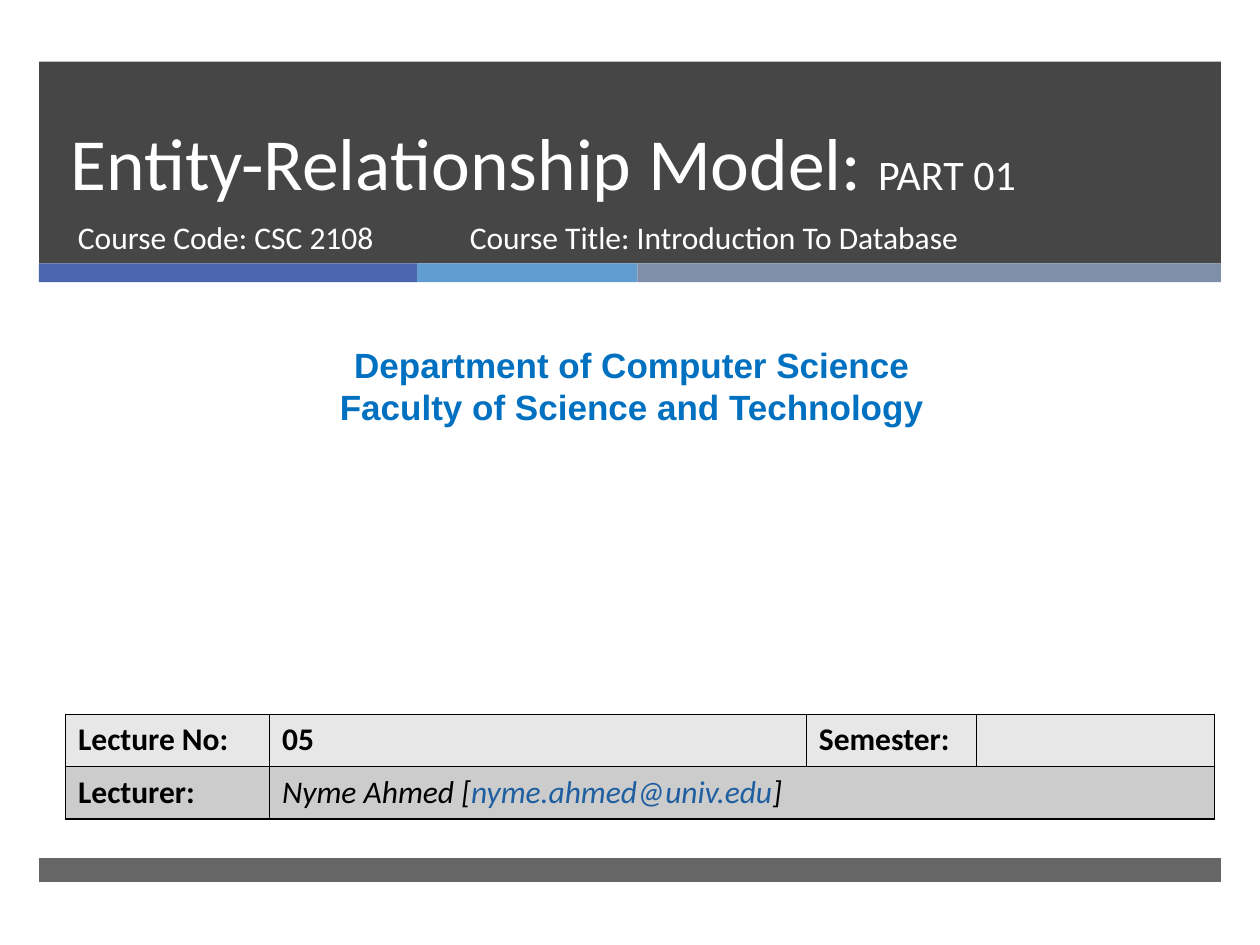
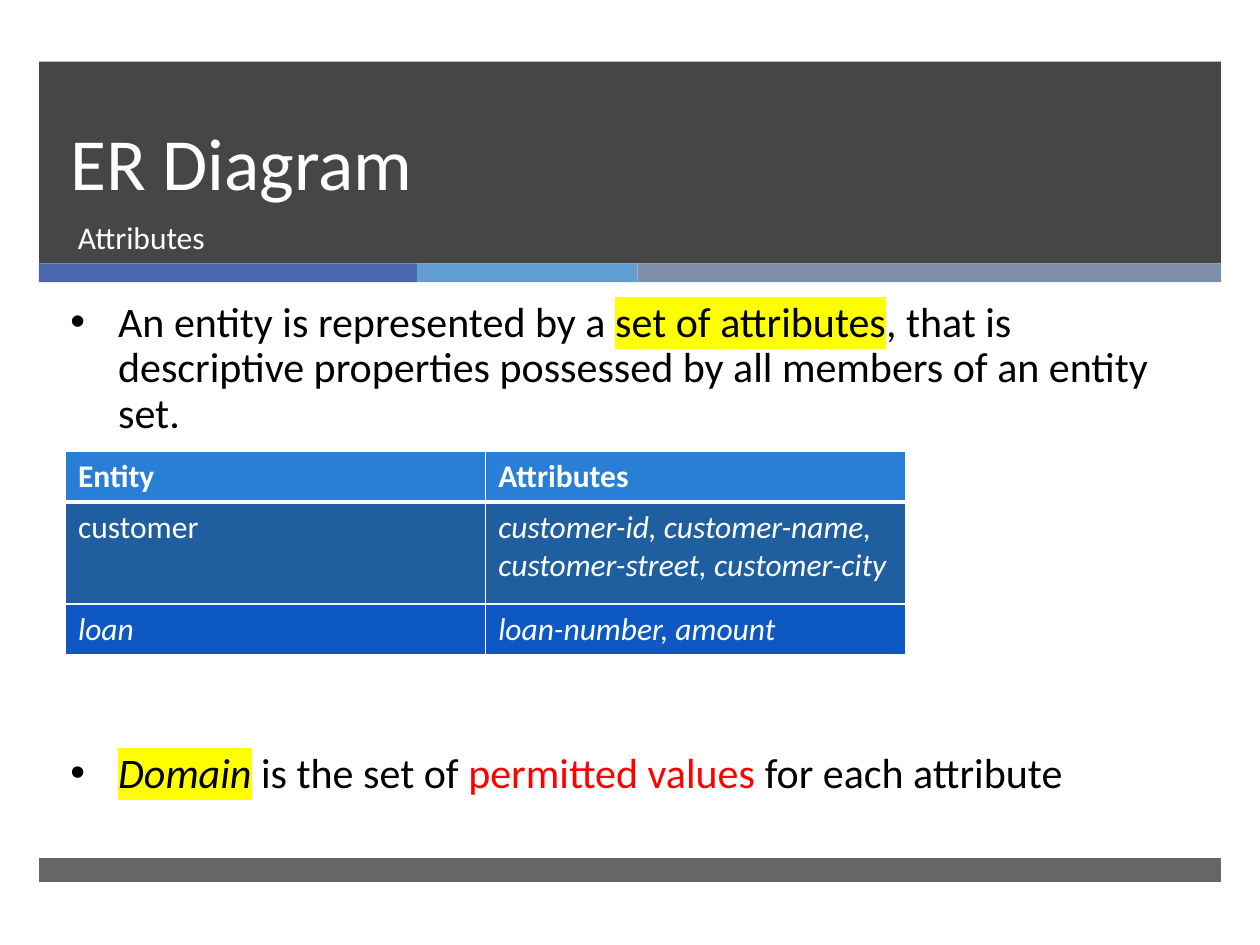
from lxml.etree import SubElement
from pptx import Presentation
from pptx.dml.color import RGBColor
from pptx.enum.shapes import MSO_SHAPE
from pptx.enum.text import MSO_ANCHOR, PP_ALIGN
from pptx.oxml import parse_xml
from pptx.oxml.ns import nsdecls, qn
from pptx.util import Inches, Pt

WHITE = RGBColor(0xFF, 0xFF, 0xFF)
BLACK = RGBColor(0x00, 0x00, 0x00)
DARK = RGBColor(0x26, 0x26, 0x26)
INDIGO = RGBColor(0x4A, 0x66, 0xAC)
SKY = RGBColor(0x62, 0x9D, 0xD1)
SLATE = RGBColor(0x7F, 0x8F, 0xA9)
AZURE = RGBColor(0x00, 0x70, 0xC0)
NAVY = RGBColor(0x1F, 0x5F, 0xA0)
BLUE = RGBColor(0x29, 0x7F, 0xD5)
ROYAL = RGBColor(0x0E, 0x58, 0xC4)
PALE = RGBColor(0xE7, 0xE7, 0xE7)
GREY = RGBColor(0xCC, 0xCC, 0xCC)
RED = RGBColor(0xFF, 0x00, 0x00)
YELLOW = RGBColor(0xFF, 0xFF, 0x00)

# The slide is a grid of 100 columns and 75 rows of square cells.
COLS, ROWS = 100, 75
LEFT, WIDE = 3.1, 93.8
STRIPES = ((INDIGO, 30), (SKY, 17.5), (SLATE, 46.3))


def write(frame, paras, size=18, font="Calibri", color=BLACK, bold=False,
          italic=False, mark=None, align=None, line=None, gaps=(), bullet=None):
    """Fill a frame; a paragraph is a list of runs, a run is text or (text, format)."""
    base = dict(size=size, color=color, bold=bold, italic=italic, mark=mark)
    for i, runs in enumerate(paras):
        para = frame.paragraphs[0] if i == 0 else frame.add_paragraph()
        para.alignment = align
        para.line_spacing = line
        if i < len(gaps):
            para.space_before = Pt(gaps[i])
        if bullet:
            props = para._p.get_or_add_pPr()
            props.set("marL", str(Inches(0.38)))
            props.set("indent", str(-Inches(0.38)))
            SubElement(props, qn("a:buFont"), typeface="Arial")
            SubElement(props, qn("a:buChar"), char=bullet)
        for item in runs:
            text, extra = (item, {}) if isinstance(item, str) else item
            form = {**base, **extra}
            run = para.add_run()
            run.text = text
            run.font.name = font
            run.font.size = Pt(form["size"])
            run.font.bold = form["bold"]
            run.font.italic = form["italic"]
            run.font.color.rgb = form["color"]
            if form["mark"]:
                fill = run._r.rPr.find(qn("a:solidFill"))
                fill.addnext(parse_xml(
                    f'<a:highlight {nsdecls("a")}>'
                    f'<a:srgbClr val="{form["mark"]}"/></a:highlight>'))


def edge(cell, color, widths):
    """Draw the left, right, top and bottom borders, with widths in points."""
    props = cell._tc.get_or_add_tcPr()
    for i, (side, width) in enumerate(zip("LRTB", widths)):
        props.insert(i, parse_xml(
            f'<a:ln{side} {nsdecls("a")} w="{Pt(width)}"><a:solidFill>'
            f'<a:srgbClr val="{color}"/></a:solidFill></a:ln{side}>'))


class Deck:
    def __init__(self):
        self.show = Presentation()
        self.show.slide_width = Inches(10)
        self.show.slide_height = Inches(7.5)
        self.slide = None

    def x(self, cols):
        return round(self.show.slide_width * cols / COLS)

    def y(self, rows):
        return round(self.show.slide_height * rows / ROWS)

    def place(self, left, top, wide, high):
        return self.x(left), self.y(top), self.x(wide), self.y(high)

    def band(self, left, top, wide, high, color, alpha=100):
        shape = self.slide.shapes.add_shape(
            MSO_SHAPE.RECTANGLE, *self.place(left, top, wide, high))
        shape.shadow.inherit = False
        shape.line.fill.background()
        shape.fill.solid()
        shape.fill.fore_color.rgb = color
        if alpha < 100:
            tint = shape.fill._xPr.find(qn("a:solidFill"))[0]
            SubElement(tint, qn("a:alpha"), val=str(alpha * 1000))

    def text(self, left, top, wide, high, paras, anchor=MSO_ANCHOR.TOP, **form):
        box = self.slide.shapes.add_textbox(*self.place(left, top, wide, high))
        box.text_frame.word_wrap = True
        box.text_frame.vertical_anchor = anchor
        write(box.text_frame, paras, **form)

    def table(self, left, top, cols, rows, cells, fills, rim, head=1, **form):
        """Add a table; head is the width of the rule below the first row."""
        grid = self.slide.shapes.add_table(
            len(rows), len(cols),
            *self.place(left, top, sum(cols), sum(rows))).table
        grid.first_row = grid.horz_banding = False
        for col, wide in zip(grid.columns, cols):
            col.width = self.x(wide)
        for r, high in enumerate(rows):
            grid.rows[r].height = self.y(high)
            for c in range(len(cols)):
                cell = grid.cell(r, c)
                cell.fill.solid()
                cell.fill.fore_color.rgb = fills[r]
                edge(cell, rim, (1, 1, head if r == 1 else 1, head if r == 0 else 1))
                if c < len(cells[r]) and cells[r][c]:
                    write(cell.text_frame, [cells[r][c]], **form)
        return grid

    def start(self, title):
        """Begin a slide with its bands and title."""
        self.slide = self.show.slides.add_slide(self.show.slide_layouts[6])
        self.band(LEFT, 4.9, WIDE, 16, DARK, 85)
        left = LEFT
        for color, wide in STRIPES:
            self.band(left, 20.9, wide, 1.5, color)
            left += wide
        self.band(LEFT, 68.1, WIDE, 1.9, DARK, 70)
        self.text(4.6, 4.9, 85.4, 11.9, [title], MSO_ANCHOR.BOTTOM,
                  size=42, color=WHITE, line=Pt(46))

    def label(self, left, wide, text):
        self.text(left, 16.8, wide, 5.3, [[text]], color=WHITE)


def cover(deck):
    deck.start(["Entity-Relationship Model: ", ("PART 01", dict(size=24))])
    deck.label(5.2, 30.5, "Course Code: CSC 2108")
    deck.label(36.3, 45.5, "Course Title: Introduction To Database")
    deck.text(0.8, 26.8, 98.7, 7.7,
              [["Department of Computer Science"],
               ["Faculty of Science and Technology"]],
              size=20, font="Arial", color=AZURE, bold=True,
              align=PP_ALIGN.CENTER, line=Pt(24))
    name = dict(bold=False, italic=True)
    grid = deck.table(
        5.2, 56.7, (16.2, 42.6, 13.5, 18.9), (4.15, 4.15),
        [[["Lecture No:"], ["05"], ["Semester:"]],
         [["Lecturer:"], [("Nyme Ahmed [", name),
                          ("nyme.ahmed@univ.edu", {**name, "color": NAVY}),
                          ("]", name)]]],
        (PALE, GREY), BLACK, bold=True)
    grid.cell(1, 1).merge(grid.cell(1, 3))


def traits(deck):
    deck.start(["ER Diagram"])
    deck.label(5.2, 84.8, "Attributes")
    deck.text(4.6, 23.4, 90, 41,
              [["An entity is represented by a ",
                ("set of attributes", dict(mark=YELLOW)),
                ", that is descriptive properties possessed by all members "
                "of an entity set."],
               [("Domain", dict(italic=True, mark=YELLOW)),
                " is the set of ", ("permitted values ", dict(color=RED)),
                "for each attribute"]],
              size=24, line=0.9, gaps=(0, 180), bullet="•")
    bold, slant = dict(bold=True), dict(italic=True)
    deck.table(
        5.2, 35.8, (33.35, 33.35), (4.05, 8.1, 4.05),
        [[[("Entity", bold)], [("Attributes", bold)]],
         [["customer"],
          [("customer-id, customer-name, customer-street, customer-city", slant)]],
         [[("loan", slant)], [("loan-number, amount", slant)]]],
        (BLUE, NAVY, ROYAL), WHITE, head=3, color=WHITE)


def main():
    deck = Deck()
    cover(deck)
    traits(deck)
    deck.show.save("out.pptx")


if __name__ == "__main__":
    main()
